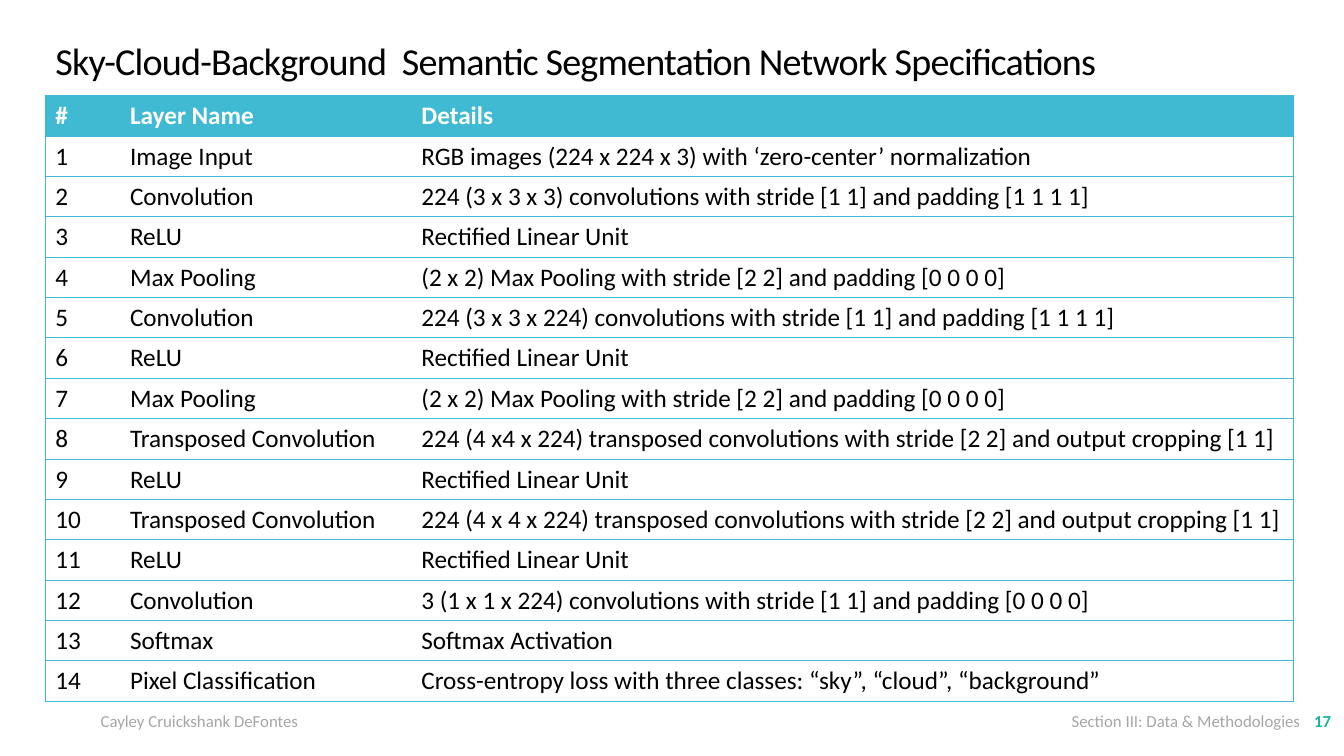
"""Builds the slide with the segmentation network layer table."""
from dataclasses import dataclass

from lxml import etree
from pptx import Presentation
from pptx.dml.color import RGBColor
from pptx.enum.text import MSO_ANCHOR, MSO_AUTO_SIZE, PP_ALIGN
from pptx.oxml.ns import qn
from pptx.util import Pt

LEFT, RIGHT = PP_ALIGN.LEFT, PP_ALIGN.RIGHT
TOP, MIDDLE = MSO_ANCHOR.TOP, MSO_ANCHOR.MIDDLE
NO_AUTOFIT = MSO_AUTO_SIZE.NONE
EMU_PER_PX = 9144
TITLE_ONLY = 5

TITLE = "Sky-Cloud-Background  Semantic Segmentation Network Specifications"
HEADINGS = ("#", "Layer Name", "Details")
RELU = ("ReLU", "Rectified Linear Unit")
MAX_POOLING = ("Max Pooling", "(2 x 2) Max Pooling with stride [2 2] and padding [0 0 0 0]")
LAYERS = (
    ("Image Input", "RGB images (224 x 224 x 3) with ‘zero-center’ normalization"),
    ("Convolution", "224 (3 x 3 x 3) convolutions with stride [1 1] and padding [1 1 1 1]"),
    RELU,
    MAX_POOLING,
    ("Convolution", "224 (3 x 3 x 224) convolutions with stride [1 1] and padding [1 1 1 1]"),
    RELU,
    MAX_POOLING,
    ("Transposed Convolution",
     "224 (4 x4 x 224) transposed convolutions with stride [2 2] and output cropping [1 1]"),
    RELU,
    ("Transposed Convolution",
     "224 (4 x 4 x 224) transposed convolutions with stride [2 2] and output cropping [1 1]"),
    RELU,
    ("Convolution", "3 (1 x 1 x 224) convolutions with stride [1 1] and padding [0 0 0 0]"),
    ("Softmax", "Softmax Activation"),
    ("Pixel Classification", "Cross-entropy loss with three classes: “sky”, “cloud”, “background”"),
)


@dataclass(frozen=True)
class Theme:
    """Font, colours and type sizes of the slide."""
    font: str = "Calibri"
    ink: str = "000000"
    paper: str = "FFFFFF"
    accent: str = "40BAD2"
    muted: str = "A6A6A6"
    number: str = "1AB39F"
    title_size: float = 27.2
    title_tracking: float = -0.6
    table_size: float = 18
    footer_size: float = 12
    rule_width: float = 0.75


def px(length):
    """Turn whole pixels into EMU."""
    return length * EMU_PER_PX


class SlideBuilder:
    """Draws each kind of element on the current page in one theme."""

    def __init__(self, page, theme):
        """Keep the page and its theme."""
        self.page = page
        self.theme = theme

    def style(self, para, size, colour, bold=False):
        """Format every run of a paragraph."""
        for span in para.runs:
            span.font.name = self.theme.font
            span.font.size = Pt(size)
            span.font.bold = bold
            span.font.color.rgb = RGBColor.from_string(colour)

    def title(self, text, left, top, width, height):
        """Fill and place the title placeholder."""
        box = self.page.shapes.title
        box.left, box.top, box.width, box.height = map(px, (left, top, width, height))
        frame = box.text_frame
        frame.text = text
        frame.auto_size = NO_AUTOFIT
        frame.vertical_anchor = TOP
        para = frame.paragraphs[0]
        para.alignment = LEFT
        para.line_spacing = 0.8
        self.style(para, self.theme.title_size, self.theme.ink)
        for span in para.runs:
            span.font._element.set("spc", str(round(self.theme.title_tracking * 100)))

    def label(self, text, left, top, width, height, colour, align=LEFT, anchor=MIDDLE, bold=False):
        """Add one line of footer text."""
        box = self.page.shapes.add_textbox(*map(px, (left, top, width, height)))
        frame = box.text_frame
        frame.word_wrap = True
        frame.text = text
        frame.vertical_anchor = anchor
        para = frame.paragraphs[0]
        para.alignment = align
        self.style(para, self.theme.footer_size, colour, bold)

    def borders(self, cell, first, last):
        """Rule a cell above and below, and at the outer sides of the table."""
        properties = cell._tc.get_or_add_tcPr()
        for side, visible in (("L", first), ("R", last), ("T", True), ("B", True)):
            width = str(Pt(self.theme.rule_width)) if visible else "0"
            line = etree.SubElement(properties, qn(f"a:ln{side}"), w=width)
            if visible:
                fill = etree.SubElement(line, qn("a:solidFill"))
                etree.SubElement(fill, qn("a:srgbClr"), val=self.theme.accent)
            else:
                etree.SubElement(line, qn("a:noFill"))

    def table(self, rows, left, top, widths, row_height):
        """Add a ruled table whose first row is the heading."""
        frame = self.page.shapes.add_table(
            len(rows), len(widths), px(left), px(top), px(sum(widths)), px(row_height * len(rows)))
        grid = frame.table
        grid.horz_banding = False
        for column, width in zip(grid.columns, widths):
            column.width = px(width)
        for row_index, row in enumerate(rows):
            heading = row_index == 0
            for column_index, text in enumerate(row):
                cell = grid.cell(row_index, column_index)
                self.borders(cell, column_index == 0, column_index == len(widths) - 1)
                cell.fill.solid()
                fill = self.theme.accent if heading else self.theme.paper
                cell.fill.fore_color.rgb = RGBColor.from_string(fill)
                cell.text_frame.text = text
                colour = self.theme.paper if heading else self.theme.ink
                self.style(cell.text_frame.paragraphs[0], self.theme.table_size, colour, heading)


def main():
    """Build and save the deck."""
    deck = Presentation()
    deck.slide_width, deck.slide_height = px(1333), px(750)
    theme = Theme()
    slide = SlideBuilder(deck.slides.add_slide(deck.slide_layouts[TITLE_ONLY]), theme)
    slide.label("17", 1163, 695, 167, 40, theme.number, align=RIGHT, bold=True)
    slide.title(TITLE, 45, 41, 1151, 68)
    rows = [HEADINGS] + [(str(number), *layer) for number, layer in enumerate(LAYERS, 1)]
    slide.table(rows, 45, 95, (74, 289, 875), 40)
    slide.label("Cayley Cruickshank DeFontes", 90, 695, 646, 40, theme.muted)
    slide.label("Section III: Data & Methodologies", 1053, 700, 261, 30, theme.muted, anchor=TOP)
    deck.save("out.pptx")


if __name__ == "__main__":
    main()
